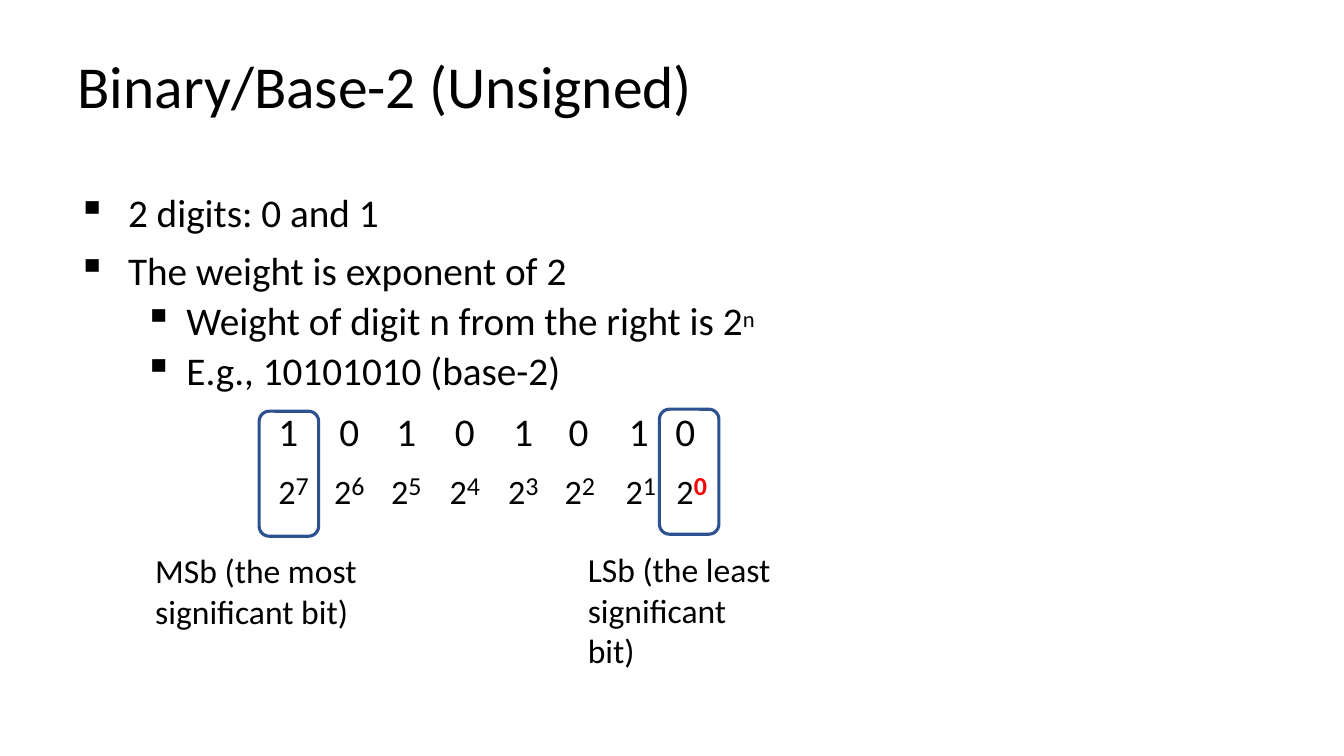
import pptx
import pptx.util
import pptx.dml.color
import pptx.enum.shapes
import pptx.enum.text
import pptx.oxml.ns
import lxml.etree

Inches = pptx.util.Inches
Pt = pptx.util.Pt
ALIGN = pptx.enum.text.PP_ALIGN
NO_STYLE = "{2D5ABB26-0587-4C30-8999-92F81FD0307C}"
COLUMN_WIDTHS = [0.46, 0.55, 0.58, 0.58, 0.58, 0.58, 0.55, 0.46]
DIGIT_INDENTS = {0: 0.03, 5: 0.16, 7: 0.09}
WEIGHT_INDENTS = {0: 0.03, 5: 0.12, 7: 0.1}


def color(hex_string):
    return pptx.dml.color.RGBColor.from_string(hex_string)


def set_font(font, size):
    font.name = "Calibri"
    font.size = Pt(size)
    font.color.rgb = color("000000")


def set_indent(paragraph, margin, first=0):
    properties = paragraph._p.get_or_add_pPr()
    properties.set("marL", str(Inches(margin)))
    properties.set("indent", str(Inches(first)))
    return properties


def add_bullet(paragraph, margin, hanging):
    properties = set_indent(paragraph, margin, -hanging)
    bullet = lxml.etree.SubElement(properties, pptx.oxml.ns.qn("a:buChar"))
    bullet.set("char", "▪")


def add_run(paragraph, text, size, baseline=0):
    run = paragraph.add_run()
    run.text = text
    set_font(run.font, size)
    if baseline:
        run._r.get_or_add_rPr().set("baseline", str(baseline * 1000))
    return run


def prepare_frame(frame, top_inset):
    frame.margin_left = frame.margin_right = frame.margin_bottom = 0
    frame.margin_top = Inches(top_inset)
    frame.word_wrap = True
    frame.vertical_anchor = pptx.enum.text.MSO_ANCHOR.TOP


def add_text_frame(slide, box, top_inset):
    frame = slide.shapes.add_textbox(*map(Inches, box)).text_frame
    prepare_frame(frame, top_inset)
    frame.auto_size = pptx.enum.text.MSO_AUTO_SIZE.SHAPE_TO_FIT_TEXT
    return frame


def place_title(slide, box, text):
    title = slide.shapes.title
    title.left, title.top, title.width, title.height = map(Inches, box)
    prepare_frame(title.text_frame, 0.01)
    title.text_frame.auto_size = pptx.enum.text.MSO_AUTO_SIZE.NONE
    title.text_frame.text = text
    heading = title.text_frame.paragraphs[0]
    heading.alignment = ALIGN.LEFT
    heading.space_before = Pt(0.9)
    set_indent(heading, 0.03)
    set_font(heading.font, 42.5)


def add_points(slide, box):
    points = [
        ("2 digits: 0 and 1", "", 0, 9.1),
        ("The weight is exponent of 2", "", 0, 8),
        ("Weight of digit n from the right is 2", "n", 1, 2),
        ("E.g., 10101010 (base-2)", "", 1, 1.9),
    ]
    frame = add_text_frame(slide, box, 0.13)
    for index, (text, exponent, level, gap) in enumerate(points):
        point = frame.add_paragraph() if index else frame.paragraphs[0]
        point.level = level
        point.space_before = Pt(gap)
        add_bullet(point, *((1.11, 0.42) if level else (0.53, 0.5)))
        if exponent:
            add_run(point, text, 28)
            add_run(point, exponent, 27.8, 21)
        else:
            point.text = text
            set_font(point.font, 28)


def add_bit_outline(slide, box):
    outline = slide.shapes.add_shape(
        pptx.enum.shapes.MSO_SHAPE.ROUNDED_RECTANGLE, *map(Inches, box))
    outline.adjustments[0] = 0.17
    outline.shadow.inherit = False
    outline.fill.background()
    outline.line.color.rgb = color("2D528F")
    outline.line.width = Pt(2.25)


def add_bit_label(slide, box, text):
    label = add_text_frame(slide, box, 0.01).paragraphs[0]
    label.text = text
    label.space_before = Pt(1)
    set_indent(label, 0.01)
    set_font(label.font, 24)


def prepare_cell(cell, indent, spacing):
    cell.fill.background()
    cell.margin_left = cell.margin_right = 0
    cell.margin_top = cell.margin_bottom = 0
    entry = cell.text_frame.paragraphs[0]
    entry.line_spacing = Pt(spacing)
    if indent is None:
        entry.alignment = ALIGN.CENTER
    else:
        set_indent(entry, indent)
    return entry


def add_bit_table(slide, box, bits):
    table = slide.shapes.add_table(2, len(bits), *map(Inches, box)).table
    table.first_row = table.horz_banding = False
    style = table._tbl.tblPr.find(pptx.oxml.ns.qn("a:tableStyleId"))
    style.text = NO_STYLE
    for column, (bit, width) in enumerate(zip(bits, COLUMN_WIDTHS)):
        table.columns[column].width = Inches(width)
        digit = prepare_cell(table.cell(0, column), DIGIT_INDENTS.get(column), 26.6)
        digit.text = bit
        set_font(digit.font, 28)
        weight = prepare_cell(table.cell(1, column), WEIGHT_INDENTS.get(column), 28.9)
        power = len(bits) - 1 - column
        if power == 1:
            set_indent(weight, 0.04)
        add_run(weight, "2", 42, -14)
        exponent = add_run(weight, str(power), 18.5)
        if power == 0:
            exponent.font.bold = True
            exponent.font.color.rgb = color("FF0000")


def main():
    deck = pptx.Presentation()
    deck.slide_width, deck.slide_height = Inches(13.33), Inches(7.5)
    slide = deck.slides.add_slide(deck.slide_layouts[5])
    place_title(slide, (0.74, 0.48, 9.8, 0.75), "Binary/Base-2 (Unsigned)")
    add_points(slide, (0.74, 1.74, 6.8, 2.17))
    add_bit_outline(slide, (2.57, 4.08, 0.59, 1.24))
    add_bit_outline(slide, (6.54, 4.06, 0.59, 1.24))
    add_bit_label(slide, (1.53, 5.45, 2.02, 0.83), "MSb (the most significant bit)")
    add_bit_table(slide, (2.73, 4.17, 4.34, 1.04), "10101010")
    add_bit_label(slide, (5.82, 5.44, 1.92, 0.83), "LSb (the least significant bit)")
    deck.save("out.pptx")


if __name__ == "__main__":
    main()
